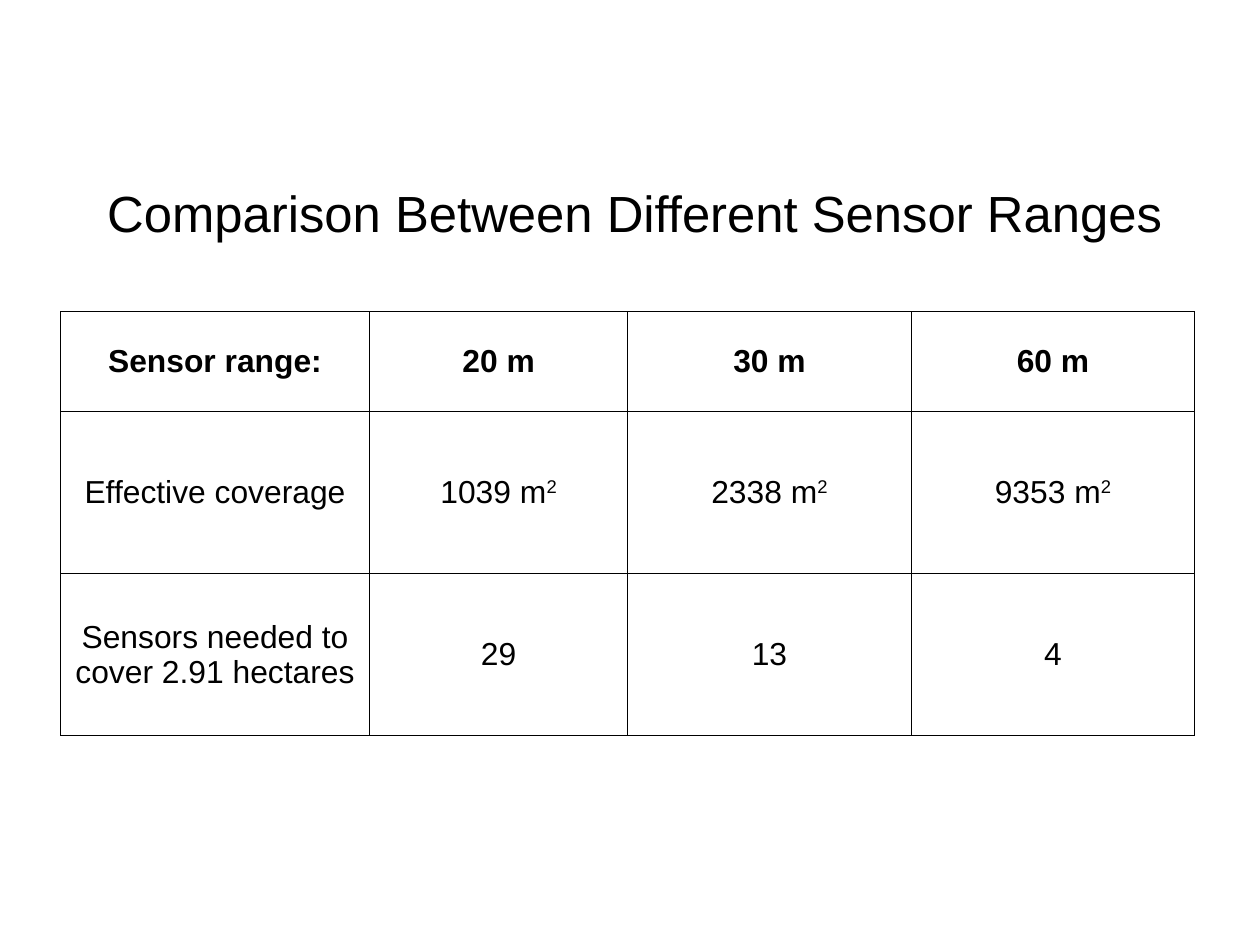
from lxml import etree
from pptx import Presentation
from pptx.dml.color import RGBColor
from pptx.enum.text import MSO_ANCHOR, MSO_AUTO_SIZE, PP_ALIGN
from pptx.oxml.ns import qn
from pptx.util import Cm, Pt

CENTER = PP_ALIGN.CENTER
MIDDLE = MSO_ANCHOR.MIDDLE
GROW = MSO_AUTO_SIZE.SHAPE_TO_FIT_TEXT
TITLE_ONLY = 5

BLACK = "000000"
FONT = "Arial"
COLUMN_WIDTHS = [6.86, 5.74, 6.3, 6.3]
ROW_HEIGHTS = [2.22, 3.6, 3.6]
COMPARISON = [
    ["Sensor range:", "20 m", "30 m", "60 m"],
    ["Effective coverage", "1039 m^2", "2338 m^2", "9353 m^2"],
    ["Sensors needed to cover 2.91 hectares", "29", "13", "4"],
]


def color(hex_value):
    return RGBColor.from_string(hex_value)


def format_paragraph(paragraph, size, bold=False):
    paragraph.alignment = CENTER
    for run in paragraph.runs:
        run.font.name = FONT
        run.font.size = Pt(size)
        run.font.bold = bold
        run.font.color.rgb = color(BLACK)


def add_title(slide, text):
    title = slide.shapes.title
    title.left, title.top, title.width, title.height = Cm(1.52), Cm(3.99), Cm(25.2), Cm(1.47)
    frame = title.text_frame
    frame.text = text
    frame.margin_left = frame.margin_right = frame.margin_top = frame.margin_bottom = 0
    frame.vertical_anchor = MIDDLE
    frame.word_wrap = True
    frame.auto_size = GROW
    format_paragraph(frame.paragraphs[0], 32)


def add_borders(cell):
    properties = cell._tc.get_or_add_tcPr()
    for side in ("lnL", "lnR", "lnT", "lnB"):
        border = etree.SubElement(properties, qn(f"a:{side}"), w=str(Pt(0.57)))
        fill = etree.SubElement(border, qn("a:solidFill"))
        etree.SubElement(fill, qn("a:srgbClr"), val=BLACK)


def fill_cell(cell, text, bold):
    base, _, exponent = text.partition("^")
    paragraph = cell.text_frame.paragraphs[0]
    paragraph.text = base
    if exponent:
        superscript = paragraph.add_run()
        superscript.text = exponent
        superscript._r.get_or_add_rPr().set("baseline", "33000")
    format_paragraph(paragraph, 20, bold)
    cell.vertical_anchor = MIDDLE
    add_borders(cell)
    cell.fill.background()


def add_comparison(slide):
    frame = slide.shapes.add_table(
        len(ROW_HEIGHTS), len(COLUMN_WIDTHS), Cm(1.35), Cm(6.93),
        Cm(sum(COLUMN_WIDTHS)), Cm(sum(ROW_HEIGHTS)))
    table = frame.table
    table.horz_banding = False
    for column, width in zip(table.columns, COLUMN_WIDTHS):
        column.width = Cm(width)
    for row_index, (row, height) in enumerate(zip(table.rows, ROW_HEIGHTS)):
        row.height = Cm(height)
        for cell, text in zip(row.cells, COMPARISON[row_index]):
            fill_cell(cell, text, bold=row_index == 0)


def main():
    presentation = Presentation()
    presentation.slide_width = Cm(28)
    presentation.slide_height = Cm(21)
    slide = presentation.slides.add_slide(presentation.slide_layouts[TITLE_ONLY])
    add_title(slide, "Comparison Between Different Sensor Ranges")
    add_comparison(slide)
    presentation.save("out.pptx")


if __name__ == "__main__":
    main()
